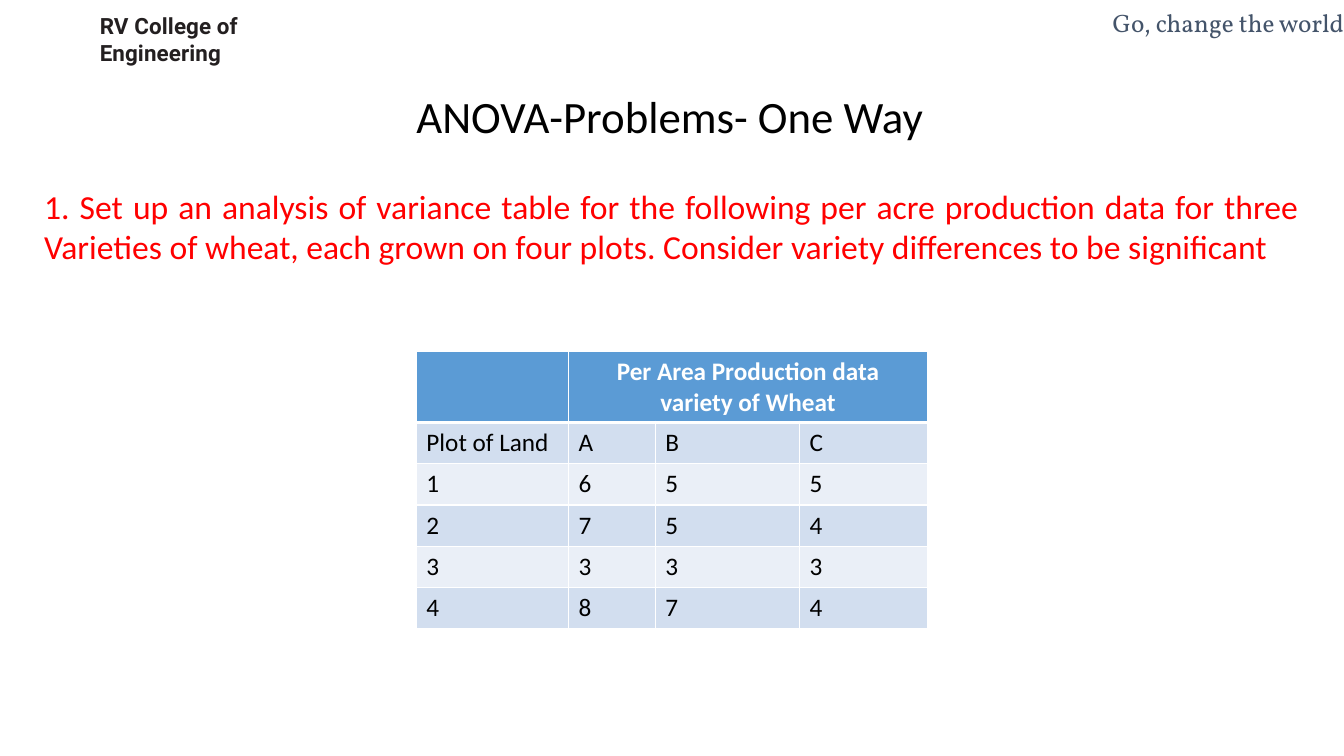
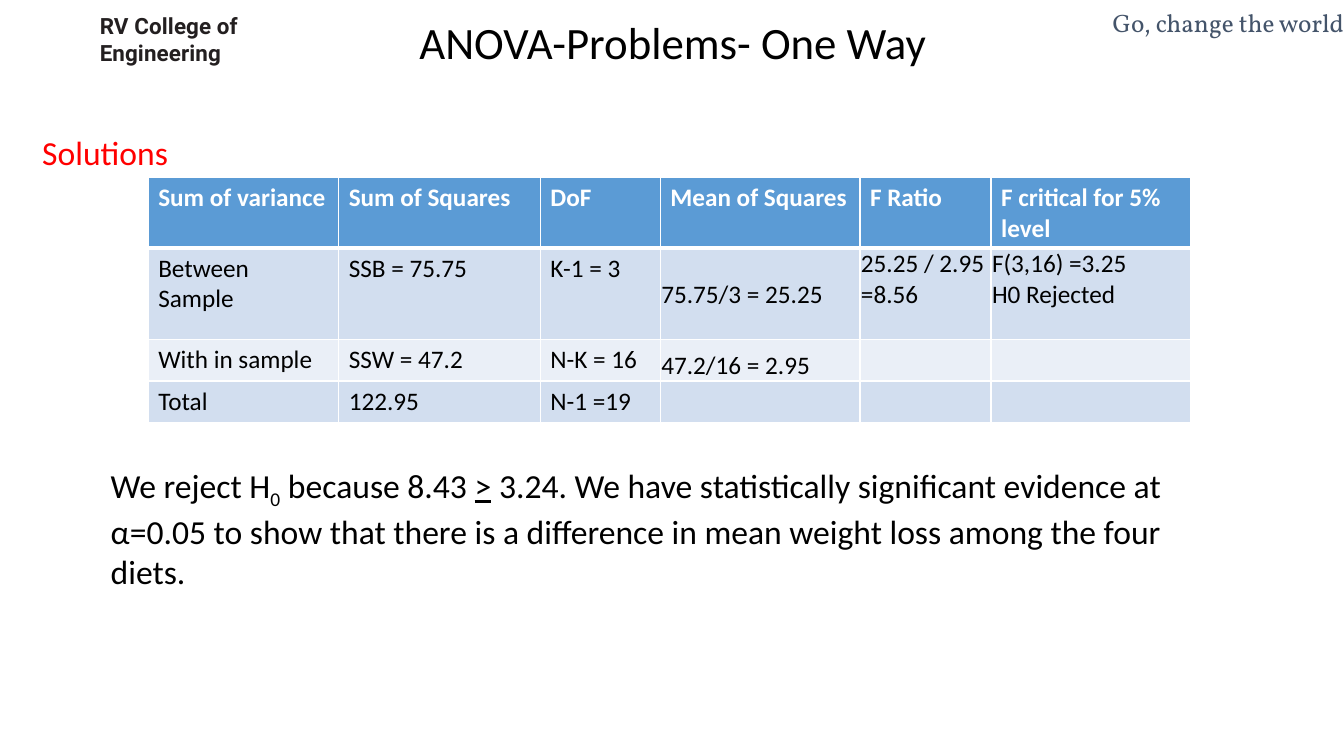
from lxml import etree
from pptx import Presentation
from pptx import util as u
from pptx.dml.color import RGBColor
from pptx.enum import text
from pptx.oxml.ns import qn

# Shared look
BLACK, WHITE, RED = "000000", "FFFFFF", "FF0000"
NAVY, CHARCOAL = "44546A", "231F20"
HEADER_FILL, BAND_FILLS = "5B9BD5", ("D2DEEF", "EAEFF7")
LEFT, RIGHT = text.PP_ALIGN.LEFT, text.PP_ALIGN.RIGHT
CENTER, JUSTIFY = text.PP_ALIGN.CENTER, text.PP_ALIGN.JUSTIFY
CELL_INSETS = (0.1, 0.05, 0.1, 0.05)
BOX_INSETS = CELL_INSETS
NO_INSETS = (0, 0, 0, 0)

# Content
COLLEGE = ["RV College of", "Engineering"]
MOTTO = "Go, change the world"
TITLE = "ANOVA-Problems- One Way"
QUESTION = ("1. Set up an analysis of variance table for the following per acre "
            "production data for three Varieties of wheat, each grown on four plots. "
            "Consider variety differences to be significant")
WHEAT = dict(
    left=4.13, top=3.49, widths=[1.51, 0.86, 1.43, 1.27],
    heights=[0.69] + [0.41] * 5,
    rows=[["", "Per Area Production data variety of Wheat", "", ""],
          ["Plot of Land", "A", "B", "C"],
          ["1", "6", "5", "5"],
          ["2", "7", "5", "4"],
          ["3", "3", "3", "3"],
          ["4", "8", "7", "4"]])
SOLUTION = dict(
    left=1.47, top=1.76, widths=[1.89, 2, 1.19, 1.98, 1.3, 1.98],
    heights=[0.69, 0.91, 0.41, 0.41],
    rows=[["Sum of variance", "Sum of Squares", "DoF", "Mean of Squares",
           "F Ratio", "F critical for 5% level"],
          ["Between Sample", "SSB = 75.75", "K-1 = 3", "75.75/3 = 25.25",
           "25.25 / 2.95 =8.56", "F(3,16) =3.25\nH0 Rejected"],
          ["With in sample", "SSW = 47.2", "N-K = 16", "47.2/16 = 2.95", "", ""],
          ["Total", "122.95", "N-1 =19", "", "", ""]])
RESULT_BOTTOM_INSETS = {1: 0.29, 2: 0}  # table row: space below the results
FIRST_RESULT_COLUMN = 3
CONCLUSION = [
    ("We reject H", {}), ("0", {"baseline": "-25000"}), (" because 8.43 ", {}),
    (">", {"u": "sng"}),
    (" 3.24. We have statistically significant evidence at α=0.05 to show that "
     "there is a difference in mean weight loss among the four diets.", {})]


def color(value):
    return RGBColor.from_string(value)


def add_span(para, words, size, fill, font="Calibri", bold=False, attributes=None):
    span = para.add_run()
    span.text = words
    span.font.name, span.font.size, span.font.bold = font, u.Pt(size), bold
    span.font.color.rgb = color(fill)
    for name, value in (attributes or {}).items():
        span._r.get_or_add_rPr().set(name, value)


def set_insets(target, insets):
    (target.margin_left, target.margin_top,
     target.margin_right, target.margin_bottom) = map(u.Inches, insets)


def add_text(page, place, paragraphs, size, fill, align=LEFT, insets=BOX_INSETS, **style):
    """Each paragraph is a string or a list of (words, run attributes)."""
    frame = page.shapes.add_textbox(*map(u.Inches, place)).text_frame
    frame.word_wrap = True
    set_insets(frame, insets)
    for index, spans in enumerate(paragraphs):
        para = frame.paragraphs[0] if index == 0 else frame.add_paragraph()
        para.alignment = align
        for words, attributes in [(spans, {})] if isinstance(spans, str) else spans:
            add_span(para, words, size, fill, attributes=attributes, **style)
    return frame


def add_borders(cell, is_header):
    properties = cell._tc.get_or_add_tcPr()
    for side in "LRTB":
        points = 3 if is_header and side == "B" else 1
        line = etree.SubElement(properties, qn("a:ln" + side), w=str(u.Pt(points)))
        solid = etree.SubElement(line, qn("a:solidFill"))
        etree.SubElement(solid, qn("a:srgbClr"), val=WHITE)


def add_grid(page, left, top, widths, heights, rows):
    table = page.shapes.add_table(
        len(rows), len(widths), u.Inches(left), u.Inches(top),
        u.Inches(sum(widths)), u.Inches(sum(heights))).table
    for column, width in zip(table.columns, widths):
        column.width = u.Inches(width)
    for r, (height, entries) in enumerate(zip(heights, rows)):
        table.rows[r].height = u.Inches(height)
        is_header = r == 0
        for c, entry in enumerate(entries):
            cell = table.cell(r, c)
            set_insets(cell, CELL_INSETS)
            add_borders(cell, is_header)
            cell.fill.solid()
            cell.fill.fore_color.rgb = color(HEADER_FILL if is_header else BAND_FILLS[(r - 1) % 2])
            for index, words in enumerate(entry.split("\n") if entry else []):
                frame = cell.text_frame
                para = frame.paragraphs[0] if index == 0 else frame.add_paragraph()
                add_span(para, words, 18, WHITE if is_header else BLACK, bold=is_header)
    return table


def add_page(deck, title_left, title_top):
    page = deck.slides.add_slide(deck.slide_layouts[6])
    # College name and motto
    college = add_text(page, (0.98, 0.1, 1.5, 0.54),
                       [[(line, {"spc": "10"})] for line in COLLEGE], 16, CHARCOAL,
                       insets=(0.01, 0.04, 0, 0), font="Roboto", bold=True)
    for index, para in enumerate(college.paragraphs):
        para.line_spacing = u.Pt(17.9)
        para.space_before = u.Pt(1.4 if index else 0)
    add_text(page, (9.31, 0.07, 4.02, 0.51), [MOTTO], 18, NAVY, RIGHT,
             insets=NO_INSETS, font="Vollkorn")
    # Title
    add_text(page, (title_left, title_top, 8.03, 0.64), [TITLE], 32, BLACK, CENTER)
    return page


def main():
    deck = Presentation()
    deck.slide_width, deck.slide_height = u.Inches(13.33), u.Inches(7.5)

    # Problem
    page = add_page(deck, 2.63, 0.83)
    add_text(page, (0.34, 1.79, 12.64, 0.91), [QUESTION], 24, RED, JUSTIFY)
    table = add_grid(page, **WHEAT)
    table.cell(0, 1).merge(table.cell(0, 3))
    table.cell(0, 1).text_frame.paragraphs[0].alignment = CENTER

    # Solution
    page = add_page(deck, 2.66, 0.1)
    add_text(page, (0.32, 1.26, 12.64, 0.5), ["Solutions"], 24, RED, JUSTIFY)
    table = add_grid(page, **SOLUTION)
    for r, bottom in RESULT_BOTTOM_INSETS.items():
        for c in range(FIRST_RESULT_COLUMN, len(table.columns)):
            cell = table.cell(r, c)
            if cell.text_frame.text:
                cell.vertical_anchor = text.MSO_ANCHOR.BOTTOM
                set_insets(cell, (0.01, 0.01, 0.01, bottom))
    add_text(page, (1, 4.56, 11.24, 1.31), [CONCLUSION], 24, BLACK)

    deck.save("out.pptx")


if __name__ == "__main__":
    main()
